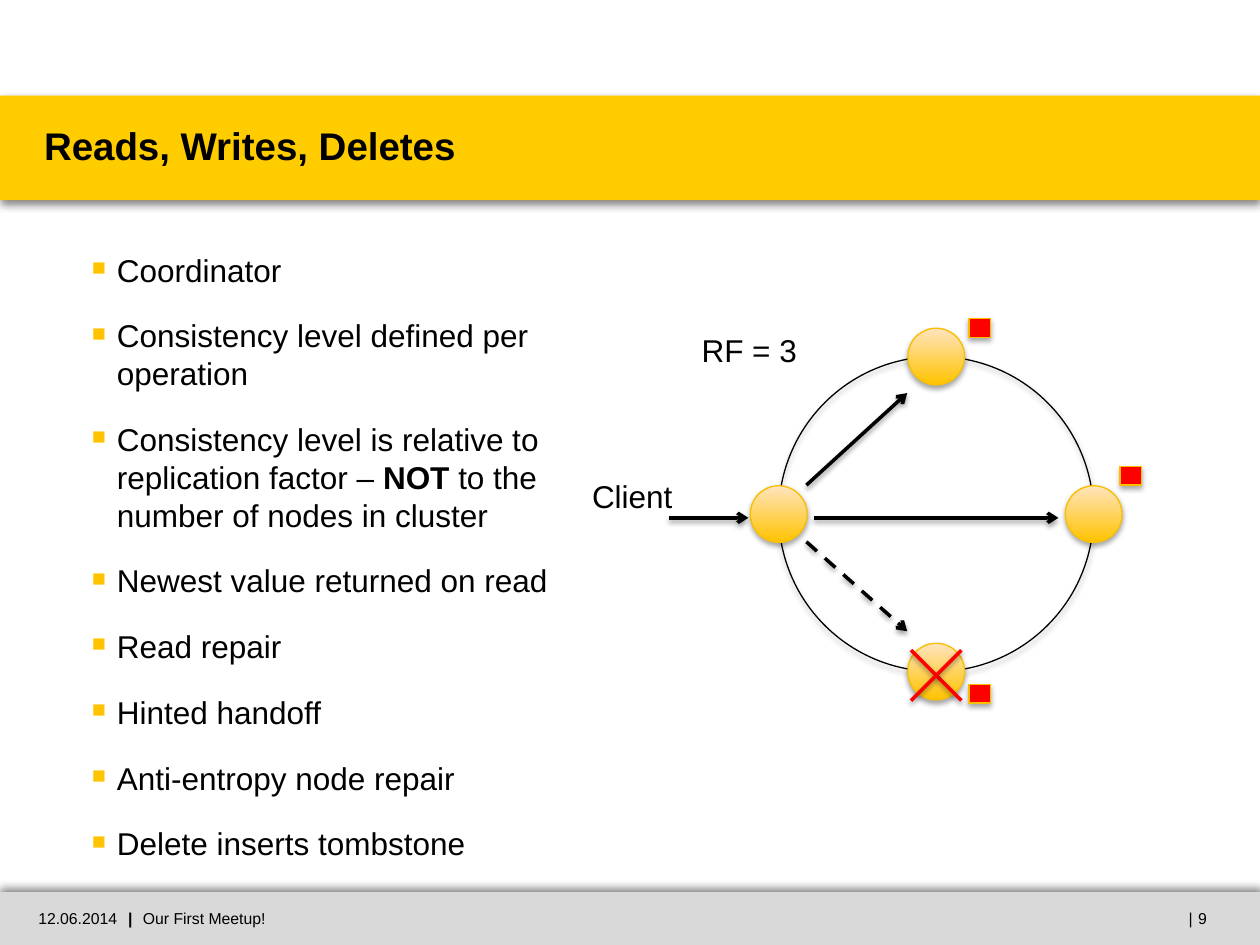
from lxml import etree
from pptx import Presentation
from pptx import util as u
from pptx.dml.color import RGBColor
from pptx.enum import dml, shapes, text
from pptx.oxml import ns

Inches, Pt = u.Inches, u.Pt
SHAPE = shapes.MSO_SHAPE
ALIGN = text.PP_ALIGN
MIDDLE = text.MSO_ANCHOR.MIDDLE
COLORS = {"black": "000000", "yellow": "FFCC00", "gray": "D9D9D9", "amber": "FFC300",
          "cream": "FFE4BD", "outline": "F9BF00", "red": "FF0000"}
# Shadows: opacity in percent, blur and distance in points, direction in degrees
BAND_SHADOW = (50, 5, 2, 90)
FOOTER_SHADOW = (50, 5, 2, 270)
NODE_SHADOW = (35, 3.1, 1.8, 90)
LINE_SHADOW = (38, 3.1, 1.6, 90)
BULLETS = [
    ["Coordinator"],
    ["Consistency level defined per operation"],
    ["Consistency level is relative to replication factor – ", "NOT",
     " to the number of nodes in cluster"],
    ["Newest value returned on read"],
    ["Read repair"],
    ["Hinted handoff"],
    ["Anti-entropy node repair"],
    ["Delete inserts tombstone"],
]


def color(name):
    return RGBColor.from_string(COLORS[name])


def box(*lengths):
    return [Inches(length) for length in lengths]


def add_child(parent, tag, **attributes):
    child = etree.SubElement(parent, ns.qn(tag))
    for key, value in attributes.items():
        child.set(key, str(value))
    return child


def set_shadow(shape, opacity, blur, distance, direction):
    effects = add_child(shape.element.spPr, "a:effectLst")
    shadow = add_child(effects, "a:outerShdw", blurRad=Pt(blur), dist=Pt(distance),
                       dir=direction * 60000, algn="ctr", rotWithShape=0)
    tint = add_child(shadow, "a:srgbClr", val=COLORS["black"])
    add_child(tint, "a:alpha", val=opacity * 1000)


def add_figure(slide, kind, at, shadow, fill=None, gradient=None, line=None):
    shape = slide.shapes.add_shape(kind, *box(*at))
    if gradient:
        shape.fill.gradient()
        shape.fill.gradient_angle = 90
        for stop, name in zip(shape.fill.gradient_stops, gradient):
            stop.color.rgb = color(name)
    elif fill:
        shape.fill.solid()
        shape.fill.fore_color.rgb = color(fill)
    else:
        shape.fill.background()
    if line:
        shape.line.color.rgb = color(line)
        shape.line.width = Pt(0.75)
    else:
        shape.line.fill.background()
    set_shadow(shape, *shadow)
    return shape


def add_line(parent, start, end, name="black", arrow=False, dashed=False):
    line = parent.shapes.add_connector(shapes.MSO_CONNECTOR.STRAIGHT, *box(*start, *end))
    line.line.color.rgb = color(name)
    line.line.width = Pt(2)
    if dashed:
        line.line.dash_style = dml.MSO_LINE.DASH
    if arrow:
        add_child(line.line._get_or_add_ln(), "a:tailEnd", type="arrow")
    set_shadow(line, *LINE_SHADOW)


def write_run(paragraph, content, size=18, bold=False):
    run = paragraph.add_run()
    run.text = content
    run.font.name = "Arial"
    run.font.size = Pt(size)
    run.font.bold = bold
    run.font.color.rgb = color("black")


def set_margins(frame, left=0, top=0, right=0, bottom=0):
    frame.margin_left, frame.margin_top, frame.margin_right, frame.margin_bottom = box(
        left, top, right, bottom)


def add_text(slide, content, at, size=18, bold=False, align=ALIGN.LEFT, label=False):
    """Place one line of text; a label keeps its margins and fits its words."""
    frame = slide.shapes.add_textbox(*box(*at)).text_frame
    frame.word_wrap = not label
    if label:
        frame.auto_size = text.MSO_AUTO_SIZE.SHAPE_TO_FIT_TEXT
    else:
        set_margins(frame)
        frame.vertical_anchor = MIDDLE
    frame.paragraphs[0].alignment = align
    write_run(frame.paragraphs[0], content, size, bold)


def add_header(slide, left, top, width, height):
    add_figure(slide, SHAPE.RECTANGLE, (left, top, width, height), BAND_SHADOW, fill="yellow")
    title = slide.shapes.title
    slide.shapes.element.append(title.element)  # bring the title in front of its band
    title.left, title.top, title.width, title.height = box(left + 0.35, top, 9.31, height)
    frame = title.text_frame
    frame.word_wrap = True
    frame.auto_size = text.MSO_AUTO_SIZE.NONE
    frame.vertical_anchor = MIDDLE
    set_margins(frame, top=0.05)
    paragraph = frame.paragraphs[0]
    paragraph.alignment = ALIGN.LEFT
    paragraph.line_spacing = Pt(20)
    write_run(paragraph, "Reads, Writes, Deletes", size=22, bold=True)


def add_footer(slide, left, top, width, height):
    add_figure(slide, SHAPE.RECTANGLE, (left, top, width, height), FOOTER_SHADOW, fill="gray")
    for content, offset, part_width, align, bold in [
        ("12.06.2014", 0.03, 0.9, ALIGN.RIGHT, False),
        ("|", 0.97, 0.13, ALIGN.CENTER, True),
        (" Our First Meetup!", 1.1, 4.24, ALIGN.LEFT, False),
        ("|", 9.38, 0.14, ALIGN.CENTER, False),
        ("9", 9.51, 0.49, ALIGN.LEFT, False),
    ]:
        add_text(slide, content, (left + offset, top, part_width, height),
                 size=9, bold=bold, align=align)


def add_bullets(slide, left, top, width, height):
    frame = slide.shapes.add_textbox(*box(left, top, width, height)).text_frame
    frame.word_wrap = True
    for index, parts in enumerate(BULLETS):
        paragraph = frame.add_paragraph() if index else frame.paragraphs[0]
        paragraph.space_after = Pt(16)
        properties = paragraph._p.get_or_add_pPr()
        properties.set("marL", str(Inches(0.2)))
        properties.set("indent", str(-Inches(0.2)))
        add_child(add_child(properties, "a:buClr"), "a:srgbClr", val=COLORS["amber"])
        add_child(properties, "a:buFont", typeface="Arial")
        add_child(properties, "a:buChar", char="￭")
        for part in parts:
            write_run(paragraph, part, bold=part == "NOT")


def add_ring(slide, left, top, size):
    radius, node = size / 2, 0.45
    center_x, center_y = left + radius, top + radius
    add_figure(slide, SHAPE.OVAL, (left, top, size, size), NODE_SHADOW, line="black")

    # Nodes at the top, left, bottom and right of the ring
    for across, down in [(0, -1), (-1, 0), (0, 1), (1, 0)]:
        add_figure(slide, SHAPE.OVAL,
                   (center_x + across * radius - node / 2,
                    center_y + down * radius - node / 2, node, node),
                   NODE_SHADOW, gradient=("amber", "cream"), line="outline")

    # Replicas beside three nodes
    for across, down in [(1.51, -0.3), (2.71, 0.87), (1.51, 2.6)]:
        add_figure(slide, SHAPE.RECTANGLE, (left + across, top + down, 0.17, 0.15),
                   NODE_SHADOW, fill="red", line="outline")

    # Requests from the client and the coordinator
    for start, end, dashed in [
        ((5.31, 4.11), (5.94, 4.11), False),
        ((6.4, 3.85), (7.2, 3.12), False),
        ((6.46, 4.11), (8.4, 4.11), False),
        ((6.4, 4.3), (7.2, 5.01), True),
    ]:
        add_line(slide, start, end, arrow=True, dashed=dashed)
    add_text(slide, "RF = 3", (left - 0.71, top - 0.25, 0.97, 0.4), label=True)
    add_text(slide, "Client", (left - 1.58, top + 0.91, 0.85, 0.4), label=True)

    # Cross over the failed node
    cross = slide.shapes.add_group_shape()
    near, far, upper, lower = center_x - 0.2, center_x + 0.2, top + 2.33, top + 2.73
    add_line(cross, (near, upper), (far, lower), "red")
    add_line(cross, (far, upper), (near, lower), "red")


def main():
    presentation = Presentation()
    presentation.slide_width, presentation.slide_height = box(10, 7.5)
    slide = presentation.slides.add_slide(presentation.slide_layouts[5])
    add_footer(slide, 0, 7.08, 10, 0.42)
    add_header(slide, 0, 0.76, 10, 0.83)
    add_ring(slide, 6.18, 2.83, 2.5)
    add_bullets(slide, 0.63, 1.94, 4.2, 4.96)
    presentation.save("out.pptx")


if __name__ == "__main__":
    main()
